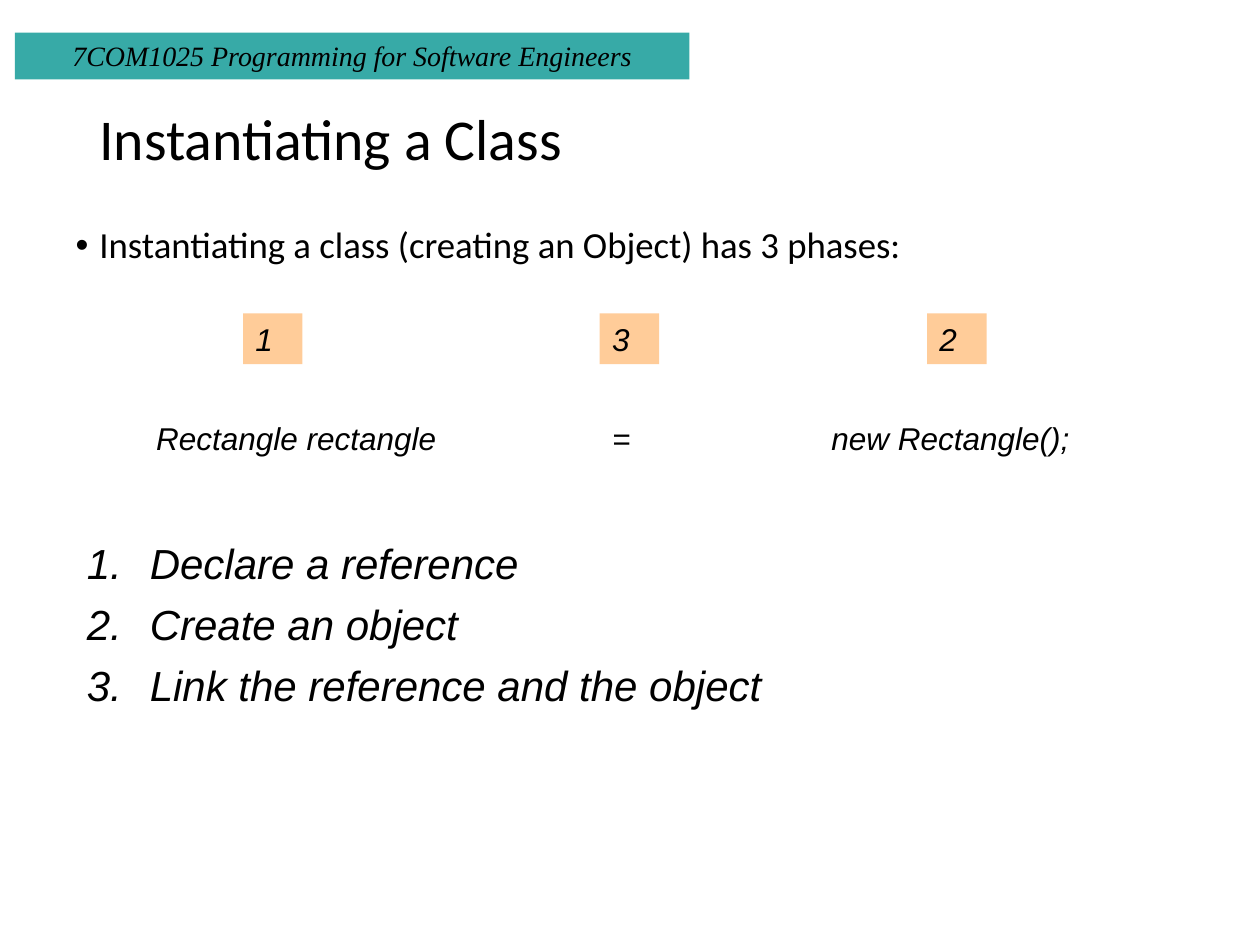
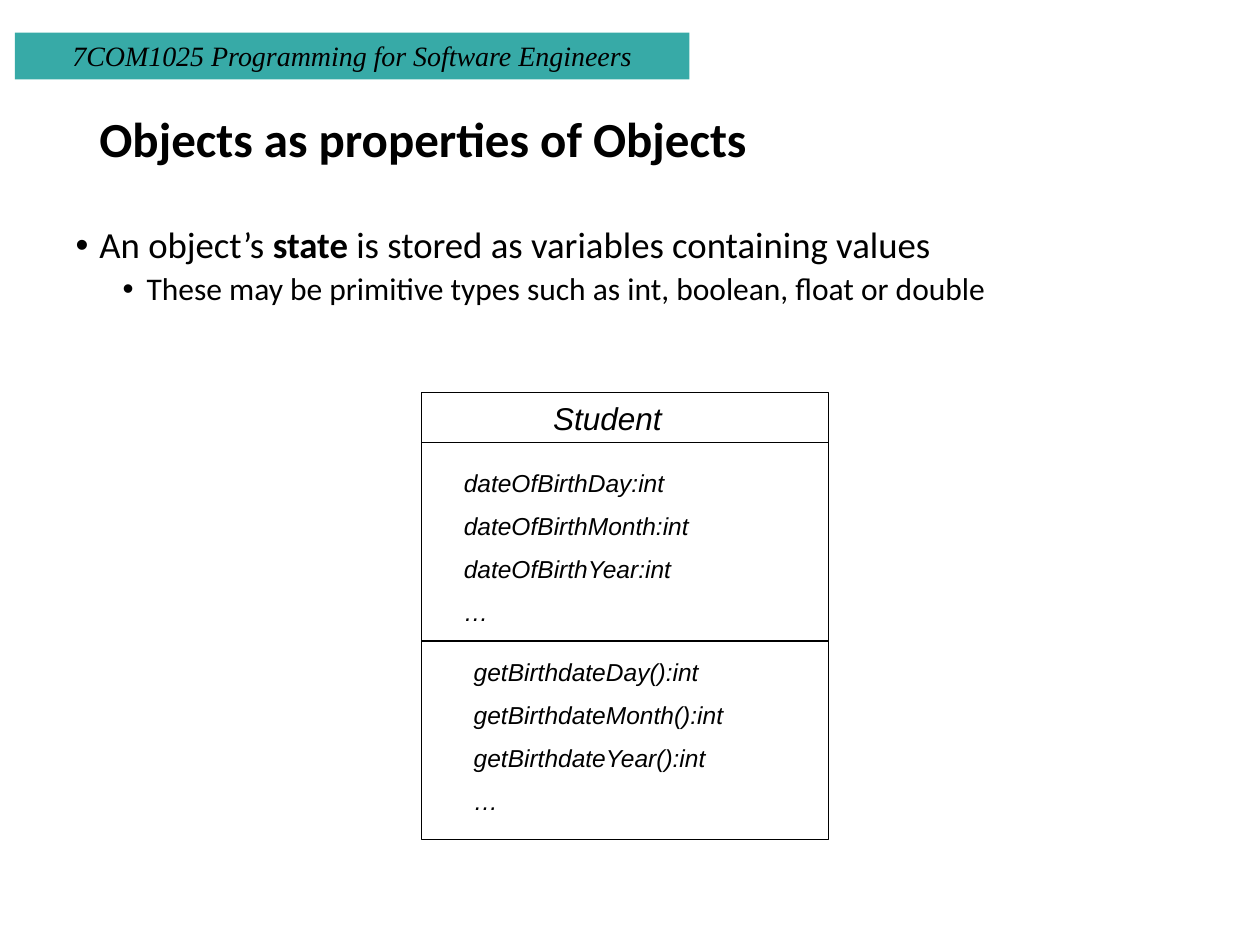
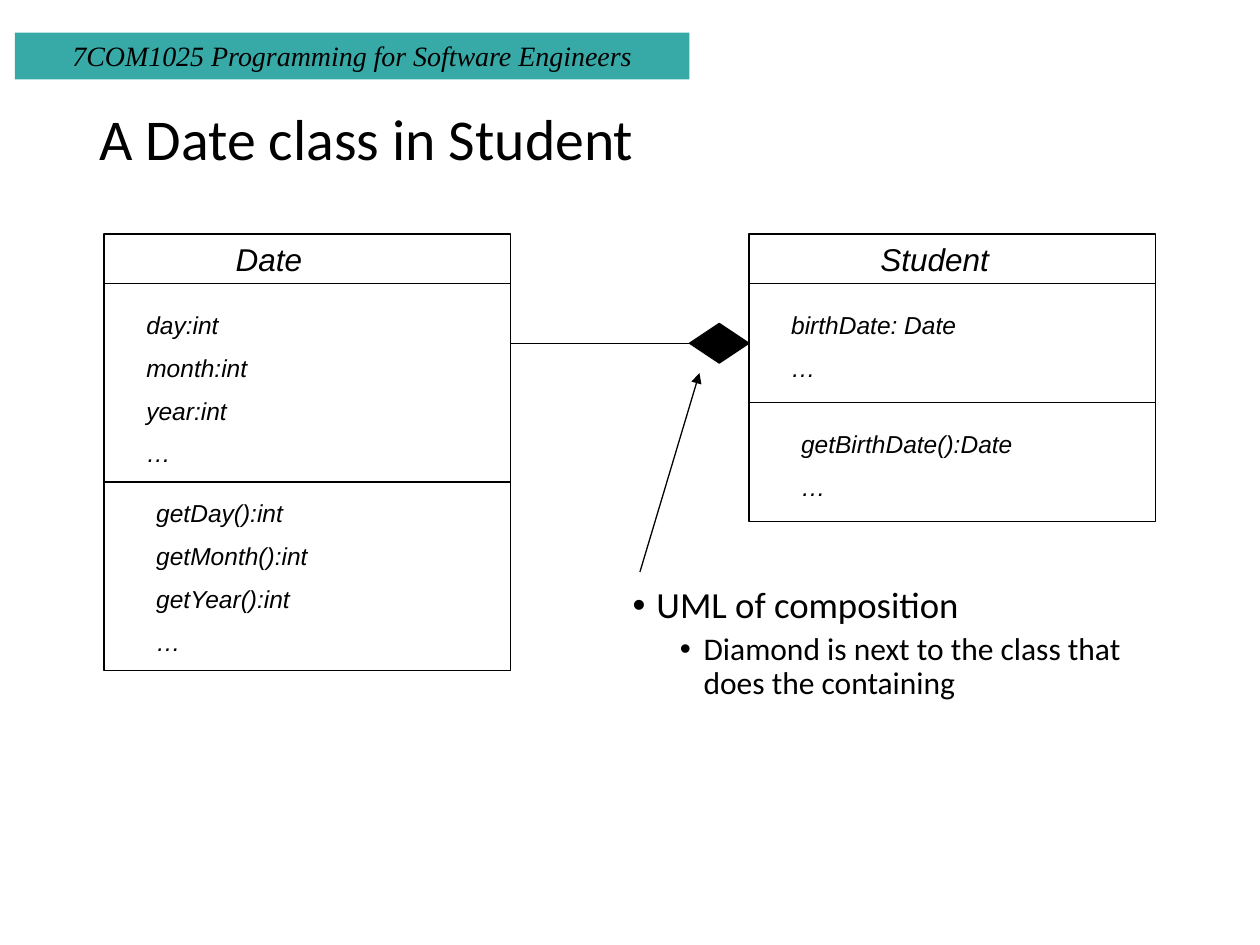
from lxml.etree import SubElement
from pptx import Presentation
from pptx.dml.color import RGBColor
from pptx.enum.shapes import MSO_CONNECTOR, MSO_SHAPE
from pptx.enum.text import MSO_ANCHOR, MSO_AUTO_SIZE, PP_ALIGN
from pptx.oxml.ns import qn
from pptx.util import Cm, Pt

BLACK = RGBColor(0x00, 0x00, 0x00)
TEAL = RGBColor(0x37, 0xAA, 0xA7)
PEACH = RGBColor(0xFF, 0xCC, 0x99)

LINE_WIDTH = Pt(0.75)
UML_WIDTH = 8.2
UML_HEADER = 1.0
# (size, space before, left margin in cm) for each bullet level
BULLET_LEVELS = [(21, 7.5, 0.48), (18, 3.8, 1.43)]


def write(p, text, size, font="Arial", italic=False, bold=False,
          align=PP_ALIGN.LEFT, before=0, spacing=None):
    """Fill a paragraph; parts between ** marks are bold."""
    p.alignment = align
    p.space_before = Pt(before)
    if spacing:
        p.line_spacing = spacing
    for i, part in enumerate(text.split("**")):
        r = p.add_run()
        r.text = part
        r.font.size = Pt(size)
        r.font.name = font
        r.font.italic = italic
        r.font.bold = bold or i % 2 == 1
        r.font.color.rgb = BLACK


def write_lines(tf, lines, size, **fmt):
    for i, line in enumerate(lines):
        p = tf.add_paragraph() if i else tf.paragraphs[0]
        write(p, line, size, **fmt)


def set_bullet(p, tag, margin, hanging, **attrs):
    pPr = p._p.get_or_add_pPr()
    pPr.set("marL", str(Cm(margin)))
    pPr.set("indent", str(-Cm(hanging)))
    SubElement(pPr, qn("a:buFont"), typeface="Arial")
    SubElement(pPr, qn(tag), **attrs)


def place(sp, left, top, width, height):
    sp.left, sp.top, sp.width, sp.height = map(Cm, (left, top, width, height))


def add_box(shapes, kind, left, top, width, height, fill=None, line=None):
    sp = shapes.add_shape(kind, Cm(left), Cm(top), Cm(width), Cm(height))
    sp.shadow.inherit = False
    if fill is None:
        sp.fill.background()
    else:
        sp.fill.solid()
        sp.fill.fore_color.rgb = fill
    if line is None:
        sp.line.fill.background()
    else:
        sp.line.color.rgb = line
        sp.line.width = LINE_WIDTH
    sp.text_frame.word_wrap = True
    sp.text_frame.vertical_anchor = MSO_ANCHOR.TOP
    return sp


def add_text(shapes, lines, left, top, width, height, size=18):
    sp = shapes.add_textbox(Cm(left), Cm(top), Cm(width), Cm(height))
    tf = sp.text_frame
    tf.word_wrap = True
    write_lines(tf, lines, size, italic=True, before=round(size * 0.55, 1))
    return tf


def add_line(shapes, x1, y1, x2, y2, arrow=False):
    c = shapes.add_connector(MSO_CONNECTOR.STRAIGHT, Cm(x1), Cm(y1), Cm(x2), Cm(y2))
    c.line.color.rgb = BLACK
    c.line.width = LINE_WIDTH
    spPr = c.element.spPr
    if arrow:
        SubElement(spPr.find(qn("a:ln")), qn("a:tailEnd"), type="triangle")
    SubElement(spPr, qn("a:effectLst"))


def add_band(s, layout):
    """Draw the course band and move it to the layout that all slides share."""
    sp = add_box(s.shapes, MSO_SHAPE.RECTANGLE, 0.3, 0.66, 13.6, 0.94, fill=TEAL)
    write_lines(sp.text_frame, ["7COM1025 Programming for Software Engineers"], 16,
                font="Times New Roman", italic=True, align=PP_ALIGN.CENTER)
    sp.element.xpath(".//p:cNvPr")[0].set("id", "20")
    layout.shapes.element.insert(2, sp.element)


def add_slide(prs, title, bullets, body_at, size=33, bold=False):
    """Add a slide with its title and (level, text) bullets."""
    s = prs.slides.add_slide(prs.slide_layouts[1])
    head, body = s.shapes.title, s.placeholders[1]
    place(head, 1.75, 1.02, 21.9, 3.68)
    place(body, *body_at)
    for sp in (head, body):
        sp.text_frame.auto_size = MSO_AUTO_SIZE.NONE
    head.text_frame.vertical_anchor = MSO_ANCHOR.MIDDLE
    write_lines(head.text_frame, [title], size, font="Calibri", bold=bold, spacing=0.9)
    tf = body.text_frame
    for i, (level, text) in enumerate(bullets):
        p = tf.add_paragraph() if i else tf.paragraphs[0]
        p.level = level
        text_size, before, margin = BULLET_LEVELS[level]
        write(p, text, text_size, font="Calibri", before=before, spacing=0.9)
        set_bullet(p, "a:buChar", margin, 0.48, char="•")
    return s


def add_uml_class(s, name, attributes, methods, left, top,
                  attributes_h, methods_h, methods_gap=0.2):
    shapes = s.shapes.add_group_shape().shapes
    header_y = top + UML_HEADER
    methods_y = header_y + attributes_h
    add_box(shapes, MSO_SHAPE.RECTANGLE, left, top, UML_WIDTH,
            UML_HEADER + attributes_h + methods_h, line=BLACK)
    for y in (header_y, methods_y):
        add_line(shapes, left, y, left + UML_WIDTH, y)
    add_text(shapes, [name], left + 2.4, top, 3.81, 1.02)
    for lines, indent, y, width in ((attributes, 0.6, header_y + 0.4, 6.8),
                                    (methods, 0.8, methods_y + methods_gap, 6.6)):
        add_text(shapes, lines, left + indent, y, width, 0.88 * len(lines), size=14)


def add_instantiating(prs):
    s = add_slide(prs, "Instantiating a Class",
                  [(0, "Instantiating a class (creating an Object) has 3 phases:")],
                  (1.27, 4.45, 22.86, 2.29))
    for code, left, width in (("Rectangle rectangle", 2.9, 6.2), ("=", 12.09, 1.0),
                              ("new Rectangle();", 16.51, 5.38)):
        add_text(s.shapes, [code], left, 8.33, width, 1.02)
    for phase, left in (("1", 4.9), ("3", 12.09), ("2", 18.69)):
        sp = add_box(s.shapes, MSO_SHAPE.RECTANGLE, left, 6.32, 1.2, 1.02, fill=PEACH)
        write_lines(sp.text_frame, [phase], 18, italic=True)
    tf = add_text(s.shapes, [], 1.5, 10.72, 23.06, 4.8)
    write_lines(tf, ["Declare a reference", "Create an object",
                     "Link the reference and the object"], 24, italic=True, before=6)
    for p in tf.paragraphs:
        set_bullet(p, "a:buAutoNum", 1.27, 1.27, type="arabicPeriod")
    return s


def add_object_properties(prs):
    s = add_slide(prs, "Objects as properties of Objects",
                  [(0, "An object’s **state** is stored as variables containing values"),
                   (1, "These may be primitive types such as int, boolean, float or double")],
                  (1.27, 4.45, 22.86, 3.28), size=28, bold=True)
    add_uml_class(s, "Student",
                  ["dateOfBirthDay:int", "dateOfBirthMonth:int", "dateOfBirthYear:int", "…"],
                  ["getBirthdateDay():int", "getBirthdateMonth():int",
                   "getBirthdateYear():int", "…"],
                  8.5, 7.92, 4, 4)


def add_composition(prs):
    s = add_slide(prs, "A Date class in Student",
                  [(0, "UML of composition"),
                   (1, "Diamond is next to the class that does the containing")],
                  (12.5, 11.71, 10.62, 4.39))
    date_x, student_x, top = 2.1, 15.1, 4.72
    add_uml_class(s, "Student", ["birthDate: Date", "…"], ["getBirthDate():Date", "…"],
                  student_x, top, 2.4, 2.4, methods_gap=0.4)
    add_uml_class(s, "Date", ["day:int", "month:int", "year:int", "…"],
                  ["getDay():int", "getMonth():int", "getYear():int", "…"],
                  date_x, top, 4, 3.8)
    link_y, diamond_w, diamond_h = 6.92, 1.2, 0.8
    diamond_x = student_x - diamond_w
    add_line(s.shapes, date_x + UML_WIDTH, link_y, diamond_x, link_y)
    add_box(s.shapes, MSO_SHAPE.DIAMOND, diamond_x, link_y - diamond_h / 2,
            diamond_w, diamond_h, fill=BLACK, line=BLACK)
    add_line(s.shapes, 12.9, 11.53, 14.1, 7.52, arrow=True)


def main():
    prs = Presentation()
    prs.slide_width, prs.slide_height = Cm(25.4), Cm(19.05)
    s = add_instantiating(prs)
    add_band(s, prs.slide_layouts[1])
    add_object_properties(prs)
    add_composition(prs)
    prs.save("out.pptx")


if __name__ == "__main__":
    main()
